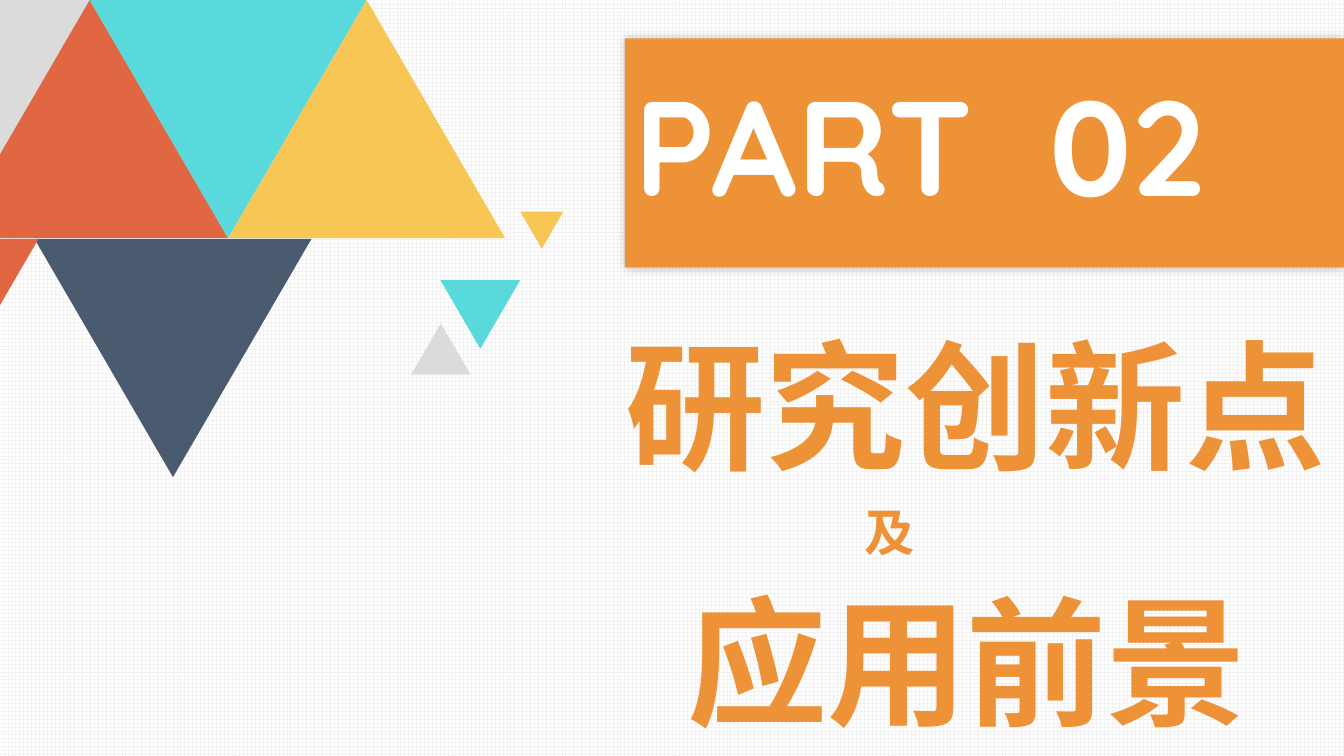
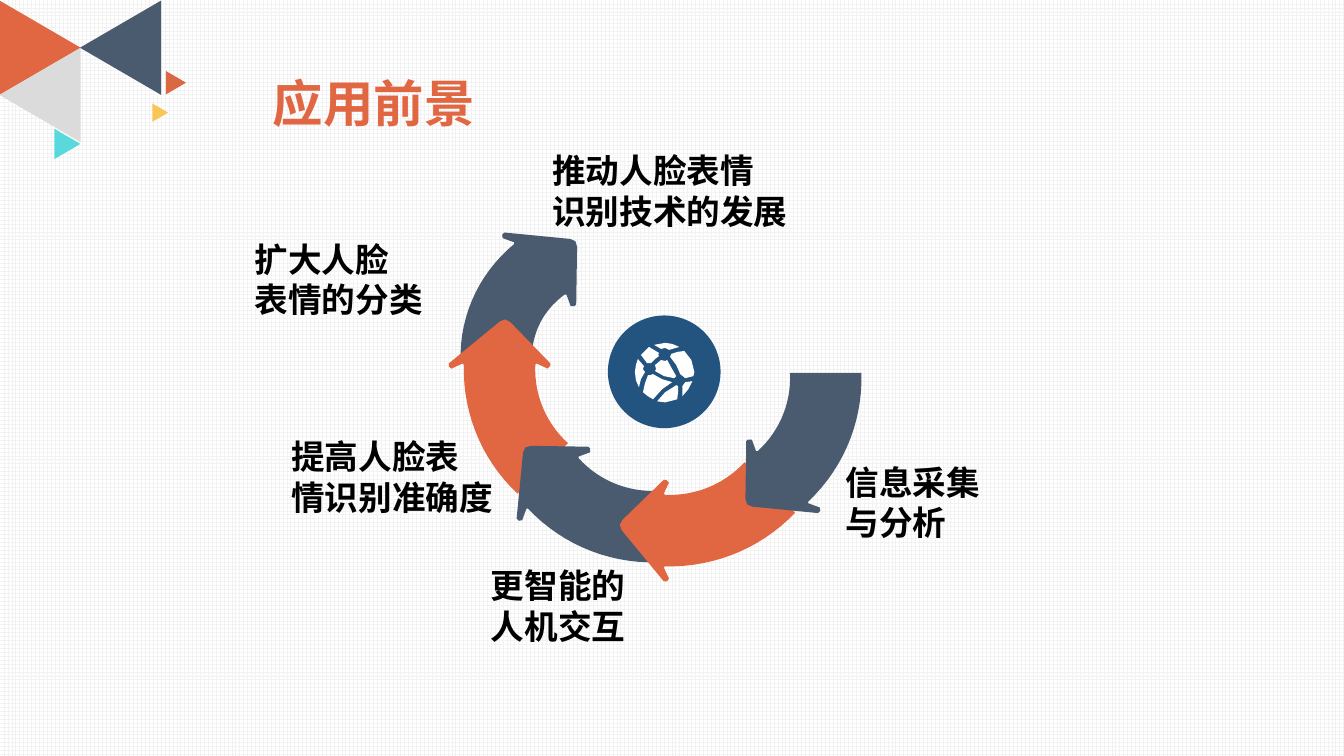
from math import cos, radians, sin

from lxml.etree import SubElement
from pptx import Presentation
from pptx.dml.color import RGBColor
from pptx.enum.dml import MSO_PATTERN
from pptx.enum.shapes import MSO_SHAPE
from pptx.enum.text import MSO_ANCHOR, MSO_AUTO_SIZE, PP_ALIGN
from pptx.oxml.ns import qn
from pptx.util import Cm, Pt

ORANGE = RGBColor(0xED, 0x92, 0x37)
RED = RGBColor(0xE1, 0x67, 0x42)
BRICK = RGBColor(0xDA, 0x69, 0x43)
TURQUOISE = RGBColor(0x59, 0xD9, 0xDC)
YELLOW = RGBColor(0xF8, 0xC6, 0x55)
SLATE = RGBColor(0x4A, 0x5B, 0x6F)
SILVER = RGBColor(0xDB, 0xDB, 0xDB)
NAVY = RGBColor(0x22, 0x54, 0x7F)
GRID = RGBColor(0xF2, 0xF2, 0xF2)
WHITE = RGBColor(0xFF, 0xFF, 0xFF)
BLACK = RGBColor(0, 0, 0)

LATIN = "Quicksand"
HAN = "Noto Sans CJK SC"

TRIANGLE_RATIO = 0.86
POINT_RIGHT, POINT_LEFT, POINT_UP = 270, 90, 180

INNER_RADIUS, OUTER_RADIUS = 3.15, 4.95
SWEEP, ARC_STEPS = 45, 15
ARROWHEAD = [
    (4.98, 0.03), (5.26, -0.1), (5.33, -0.05), (5.33, 0.03), (4.04, 1.09), (3.91, 1.14),
    (3.78, 1.07), (2.77, 0.03), (2.77, -0.03), (2.84, -0.1), (3.12, 0.03),
]
CYCLE = [
    (180, (16.56, 9.09), (16.46, 9.65), SLATE),
    (135, (16.54, 8.94), (16.64, 9.19), RED),
    (90, (16.56, 9.22), (16.81, 9.32), SLATE),
    (45, (16.54, 9.42), (16.76, 9.32), RED),
    (0, (16.76, 9.4), (16.87, 9.14), SLATE),
]
LABELS = [
    (13.67, 3.66, 9.47, "推动人脸表情\n识别技术的发展"),
    (12.12, 14.12, 7.92, "更智能的\n人机交互"),
    (7.09, 10.87, 5.72, "提高人脸表\n情识别准确度"),
    (6.17, 5.89, 9.14, "扩大人脸\n表情的分类"),
    (21.06, 11.51, 7.8, "信息采集\n与分析"),
]
GLOBE_CELLS = [
    [(41, 42), (30, 49), (22, 58), (30, 59), (42, 56), (43, 47), (43, 43)],
    [(49, 8), (42, 9), (36, 11), (35, 14), (41, 22), (45, 31), (50, 35), (58, 33),
     (59, 29), (56, 17)],
    [(37, 39), (27, 36), (18, 31), (15, 32), (13, 32), (10, 40), (8, 49), (13, 53),
     (18, 56), (27, 46)],
    [(47, 43), (47, 53), (53, 46), (57, 38), (50, 39)],
    [(39, 35), (41, 33), (37, 26), (32, 17), (30, 18), (26, 17), (20, 22), (21, 26),
     (20, 28), (29, 33)],
    [(30, 5), (34, 7), (44, 4), (37, 1), (30, 0), (19, 2), (26, 6)],
    [(8, 26), (9, 23), (3, 16), (1, 22), (0, 29), (1, 37), (4, 44), (6, 36), (10, 29)],
    [(15, 20), (16, 20), (20, 16), (24, 13), (23, 12), (24, 10), (14, 4), (10, 8),
     (6, 12), (12, 20)],
]


def paint(shape, color):
    """Give a shape a flat fill without line or shadow."""
    shape.fill.solid()
    shape.fill.fore_color.rgb = color
    shape.line.fill.background()
    shape.shadow.inherit = False
    return shape


def add_block(shapes, kind, left, top, width, height, color):
    """Add a flat preset shape measured in centimetres."""
    return paint(shapes.add_shape(kind, Cm(left), Cm(top), Cm(width), Cm(height)), color)


def add_triangle(shapes, left, top, width, color, rotation=0):
    """Add a decorative triangle that points down unless rotated."""
    triangle = add_block(shapes, MSO_SHAPE.FLOWCHART_MERGE, left, top, width,
                         width * TRIANGLE_RATIO, color)
    triangle.rotation = rotation


def style_paragraph(paragraph, size, color, latin=LATIN):
    """Apply bold type to every run of a left-aligned paragraph."""
    paragraph.alignment = PP_ALIGN.LEFT
    for run in paragraph.runs:
        run.font.size = Pt(size)
        run.font.bold = True
        run.font.color.rgb = color
        run.font.name = latin
        SubElement(run.font._element, qn("a:ea"), typeface=HAN)


def add_text(slide, left, top, width, height, text, size, color, latin=LATIN, wrap=True):
    """Add a text box with one paragraph per line of text."""
    box = slide.shapes.add_textbox(Cm(left), Cm(top), Cm(width), Cm(height))
    frame = box.text_frame
    frame.text = text
    frame.word_wrap = wrap
    frame.auto_size = MSO_AUTO_SIZE.SHAPE_TO_FIT_TEXT
    for paragraph in frame.paragraphs:
        style_paragraph(paragraph, size, color, latin)
    return frame


def add_glow(shape, blur, opacity):
    """Surround a shape with a soft centred black shadow."""
    effects = shape._element.spPr.find(qn("a:effectLst"))
    shadow = SubElement(effects, qn("a:outerShdw"), blurRad=str(Pt(blur)), dist="0",
                        dir="0", algn="ctr", rotWithShape="0")
    black = SubElement(shadow, qn("a:srgbClr"), val="000000")
    SubElement(black, qn("a:alpha"), val=str(opacity * 1000))


def add_part_banner(slide, text):
    """Add the orange banner with the part number."""
    banner = add_block(slide.shapes, MSO_SHAPE.RECTANGLE, 15.75, 0.97, 18.12, 5.77, ORANGE)
    add_glow(banner, 7, 25)
    frame = banner.text_frame
    frame.text = text
    frame.vertical_anchor = MSO_ANCHOR.MIDDLE
    heading = frame.paragraphs[0]
    heading.line_spacing = 0.9
    heading.space_before = Pt(10)
    style_paragraph(heading, 96, WHITE)
    heading.runs[0].font._element.set("spc", "50")


def add_part_title(slide):
    """Add the three-line part title with stepped indents."""
    frame = add_text(slide, 15.52, 7.92, 18.59, 10.67, "研究创新点\n及\n应用前景", 100, ORANGE)
    frame.auto_size = MSO_AUTO_SIZE.NONE
    for paragraph, indent in zip(frame.paragraphs, (0, 6.02, 1.55)):
        paragraph.space_before = Pt(10)
        paragraph._p.get_or_add_pPr().set("marL", str(Cm(indent)))
    frame.paragraphs[1].runs[0].font.size = Pt(36)


def polar(center, angle, radius, ahead=0):
    """Return the point at a radius and a distance ahead along the tangent."""
    turn = radians(angle)
    return (center[0] + radius * cos(turn) - ahead * sin(turn),
            center[1] + radius * sin(turn) + ahead * cos(turn))


def add_cycle_arrow(slide, start, tail, head, color):
    """Add a curved arrow whose centre slides from tail to head."""
    outer, inner = [], []
    for step in range(ARC_STEPS + 1):
        share = step / ARC_STEPS
        center = [a + (b - a) * share for a, b in zip(tail, head)]
        angle = start + SWEEP * share
        outer.append(polar(center, angle, OUTER_RADIUS))
        inner.append(polar(center, angle, INNER_RADIUS))
    barbs = [polar(head, start + SWEEP, radius, ahead) for radius, ahead in ARROWHEAD]
    outline = [(Cm(x), Cm(y)) for x, y in outer + barbs + inner[::-1]]
    builder = slide.shapes.build_freeform(*outline[0])
    builder.add_line_segments(outline[1:])
    paint(builder.convert_to_shape(), color)


def add_globe(slide):
    """Add the round network badge in the middle of the cycle."""
    badge = slide.shapes.add_group_shape().shapes
    add_block(badge, MSO_SHAPE.OVAL, 15.32, 7.95, 2.84, 2.84, NAVY)
    builder = badge.build_freeform(*GLOBE_CELLS[0][0], scale=Cm(0.0254))
    for cell in GLOBE_CELLS:
        builder.move_to(*cell[0])
        builder.add_line_segments(cell[1:])
    paint(builder.convert_to_shape(Cm(16), Cm(8.64)), WHITE)


def build_part_slide(slide):
    """Compose the part opener."""
    add_part_banner(slide, "PART  02")
    add_part_title(slide)
    for column, color in enumerate((SILVER, RED, TURQUOISE, YELLOW)):
        add_triangle(slide.shapes, -4.72 + 3.49 * column, 0, 6.98, color,
                     POINT_UP * (column % 2))
    add_triangle(slide.shapes, 0.87, 6.02, 6.98, SLATE)
    add_triangle(slide.shapes, -1.24, 6.02, 2.21, RED)
    add_triangle(slide.shapes, 13.11, 5.33, 1.09, YELLOW)
    add_triangle(slide.shapes, 11.1, 7.06, 2.01, TURQUOISE)
    add_triangle(slide.shapes, 10.36, 8.15, 1.5, SILVER, POINT_UP)


def build_prospects_slide(slide):
    """Compose the application prospects cycle."""
    corner = slide.shapes.add_group_shape().shapes
    add_triangle(corner, -0.18, 0.18, 2.38, RED, POINT_RIGHT)
    add_triangle(corner, -0.18, 1.37, 2.38, SILVER, POINT_LEFT)
    add_triangle(corner, 1.32, 3.3, 0.76, TURQUOISE, POINT_RIGHT)
    add_triangle(corner, 1.85, 0.18, 2.38, SLATE, POINT_LEFT)
    add_triangle(corner, 4.14, 1.83, 0.59, BRICK, POINT_RIGHT)
    add_triangle(corner, 3.81, 2.64, 0.46, YELLOW, POINT_RIGHT)
    add_text(slide, 6.63, 1.7, 5.64, 1.8, "应用前景", 36, RED, wrap=False)
    add_globe(slide)
    for start, tail, head, color in CYCLE:
        add_cycle_arrow(slide, start, tail, head, color)
    for left, top, width, text in LABELS:
        add_text(slide, left, top, width, 2.31, text, 24, BLACK, HAN)


def main():
    """Build and save the presentation."""
    deck = Presentation()
    deck.slide_width, deck.slide_height = Cm(33.87), Cm(19.05)
    backdrop = deck.slide_master.background.fill
    backdrop.patterned()
    backdrop.pattern = MSO_PATTERN.LARGE_GRID
    backdrop.fore_color.rgb = GRID
    backdrop.back_color.rgb = WHITE
    blank = deck.slide_layouts[6]
    for build in (build_part_slide, build_prospects_slide):
        build(deck.slides.add_slide(blank))
    deck.save("out.pptx")


main()
